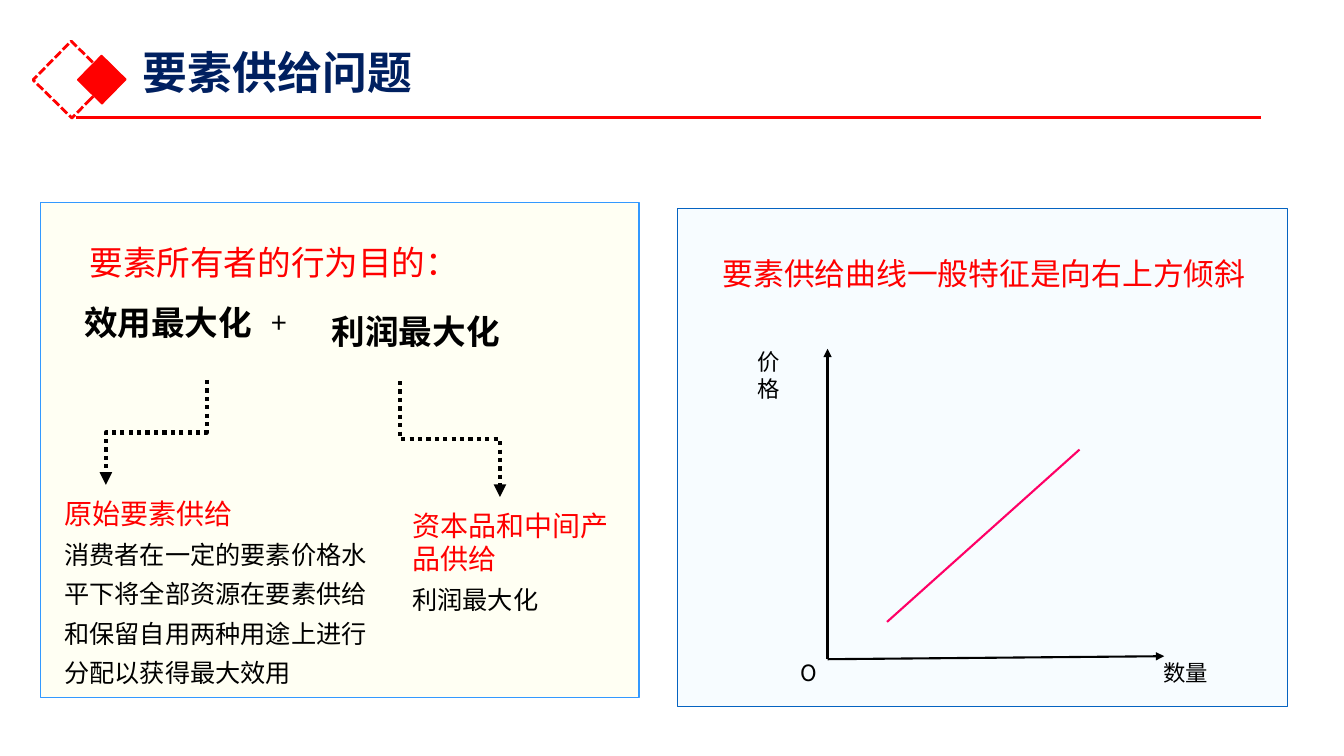
from dataclasses import dataclass
from typing import Optional

from lxml.etree import SubElement
from pptx import Presentation
from pptx.dml.color import RGBColor
from pptx.enum.dml import MSO_LINE
from pptx.enum.shapes import MSO_CONNECTOR, MSO_SHAPE
from pptx.enum.text import MSO_ANCHOR, PP_ALIGN
from pptx.oxml.ns import qn
from pptx.slide import Slide
from pptx.util import Inches, Pt

COLUMNS, ROWS = 160, 90
CELL = Inches(7.5) / ROWS


@dataclass(frozen=True)
class Theme:
    font: str = "Noto Sans CJK SC"
    navy: str = "002060"
    red: str = "FF0000"
    black: str = "000000"
    pink: str = "FF0066"
    cream: str = "FFFFF3"
    ice: str = "F7FCFF"
    sky: str = "3399FF"
    blue: str = "0563C1"
    title: int = 32
    heading: int = 24
    curve_heading: int = 22
    subheading: int = 20
    body: int = 18
    label: int = 16


THEME = Theme()


@dataclass(frozen=True)
class Area:
    column: float
    row: float
    columns: float
    rows: float


@dataclass(frozen=True)
class Box:
    area: Area
    line: str
    fill: Optional[str] = None
    weight: float = 0.75
    rotation: float = 0
    dash: Optional[MSO_LINE] = None


@dataclass(frozen=True)
class Stroke:
    start: tuple[float, float]
    end: tuple[float, float]
    color: str = THEME.black
    weight: float = 1.5
    arrow: bool = False
    elbow: bool = False


@dataclass(frozen=True)
class Line:
    text: str
    size: int
    color: str = THEME.black
    bold: bool = False
    align: Optional[PP_ALIGN] = None
    spacing: Optional[float] = None


@dataclass(frozen=True)
class Text:
    area: Area
    lines: tuple[Line, ...]
    side_inset: float = 1.2
    top_inset: float = 0.6
    anchor: MSO_ANCHOR = MSO_ANCHOR.MIDDLE


def cells(count: float) -> int:
    return round(count * CELL)


def frame(area: Area) -> tuple[int, int, int, int]:
    return cells(area.column), cells(area.row), cells(area.columns), cells(area.rows)


def color(value: str) -> RGBColor:
    return RGBColor.from_string(value)


def draw_box(slide: Slide, box: Box) -> None:
    shape = slide.shapes.add_shape(MSO_SHAPE.RECTANGLE, *frame(box.area))
    shape.shadow.inherit = False
    shape.rotation = box.rotation
    if box.fill:
        shape.fill.solid()
        shape.fill.fore_color.rgb = color(box.fill)
    else:
        shape.fill.background()
    shape.line.color.rgb = color(box.line)
    shape.line.width = Pt(box.weight)
    if box.dash:
        shape.line.dash_style = box.dash


def turned_ends(stroke: Stroke) -> tuple[float, float, float, float]:
    (x1, y1), (x2, y2) = stroke.start, stroke.end
    middle_x, middle_y = (x1 + x2) / 2, (y1 + y2) / 2
    half_width, half_height = (y2 - y1) / 2, (x2 - x1) / 2
    return (middle_x - half_width, middle_y + half_height,
            middle_x + half_width, middle_y - half_height)


def draw_stroke(slide: Slide, stroke: Stroke) -> None:
    ends = turned_ends(stroke) if stroke.elbow else (*stroke.start, *stroke.end)
    kind = MSO_CONNECTOR.ELBOW if stroke.elbow else MSO_CONNECTOR.STRAIGHT
    connector = slide.shapes.add_connector(kind, *map(cells, ends))
    connector.line.color.rgb = color(stroke.color)
    connector.line.width = Pt(stroke.weight)
    properties = connector._element.spPr
    if stroke.elbow:
        connector.line.dash_style = MSO_LINE.ROUND_DOT
        properties.find(qn("a:xfrm")).set("rot", "5400000")
    if stroke.arrow:
        SubElement(properties.find(qn("a:ln")), qn("a:tailEnd"), type="triangle")
    SubElement(properties, qn("a:effectLst"))


def draw_text(slide: Slide, text: Text) -> None:
    text_frame = slide.shapes.add_textbox(*frame(text.area)).text_frame
    text_frame.word_wrap = True
    text_frame.vertical_anchor = text.anchor
    text_frame.margin_left = text_frame.margin_right = cells(text.side_inset)
    text_frame.margin_top = text_frame.margin_bottom = cells(text.top_inset)
    for index, line in enumerate(text.lines):
        paragraph = text_frame.add_paragraph() if index else text_frame.paragraphs[0]
        paragraph.alignment = line.align
        paragraph.line_spacing = line.spacing
        run = paragraph.add_run()
        run.text = line.text
        run.font.name = THEME.font
        run.font.size = Pt(line.size)
        run.font.bold = line.bold
        run.font.color.rgb = color(line.color)
        SubElement(run._r.rPr, qn("a:ea"), typeface=THEME.font)


def goal(area: Area, text: str) -> Text:
    return Text(area, (Line(text, THEME.heading, bold=True, align=PP_ALIGN.CENTER),))


def supply(heading: str, detail: str) -> tuple[Line, ...]:
    return (Line(heading, THEME.subheading, THEME.red),
            Line(detail, THEME.body, spacing=1.3))


def axis_label(area: Area, *words: str) -> Text:
    return Text(area, tuple(Line(word, THEME.label) for word in words), side_inset=0)


ORIGIN = (98.52, 78.48)

BOXES = (
    Box(Area(4.8, 24.12, 71.28, 58.92), THEME.sky, THEME.cream),
    Box(Area(80.64, 24.84, 72.6, 59.28), THEME.blue, THEME.ice),
    Box(Area(5.28, 6.24, 6.48, 6.48), THEME.red, None, 2, 314.5, MSO_LINE.SQUARE_DOT),
    Box(Area(10.08, 7.44, 4.08, 4.08), THEME.red, THEME.red, 1, 314.5),
)

STROKES = (
    Stroke((9, 14.04), (150.12, 14.04), THEME.red, 2.25),
    Stroke(ORIGIN, (98.52, 41.52), arrow=True),
    Stroke(ORIGIN, (138.6, 78.12), arrow=True),
    Stroke((105.6, 74.04), (128.52, 53.52), THEME.pink),
    Stroke((24.6, 45.24), (12.6, 57.72), weight=3, arrow=True, elbow=True),
    Stroke((47.64, 45.36), (59.52, 59.16), weight=3, arrow=True, elbow=True),
)

TEXTS = (
    Text(Area(15.84, 6, 138, 11.4),
         (Line("要素供给问题", THEME.title, THEME.navy, True, spacing=0.9),),
         top_inset=0, anchor=MSO_ANCHOR.TOP),
    Text(Area(85.32, 24.6, 66.48, 15.96),
         (Line("要素供给曲线一般特征是向右上方倾斜", THEME.curve_heading, THEME.red),), 0.72),
    axis_label(Area(90.24, 40.68, 4.08, 7.92), "价", "格"),
    axis_label(Area(138.48, 76.08, 8, 7.92), "数量"),
    axis_label(Area(95.28, 76.08, 3, 7.92), "O"),
    goal(Area(36.5, 36, 26, 6.72), "利润最大化"),
    Text(Area(31.2, 35.76, 5.04, 5.28), (Line("+", THEME.subheading),), anchor=MSO_ANCHOR.TOP),
    Text(Area(46.44, 58.2, 30, 17.28), supply("资本品和中间产品供给", "利润最大化"), 2.64),
    Text(Area(6.48, 58.08, 39.24, 24.84),
         supply("原始要素供给",
                "消费者在一定的要素价格水平下将全部资源在要素供给和保留自用两种用途上进行分配以获得最大效用")),
    Text(Area(9.48, 28.2, 48, 6),
         (Line("要素所有者的行为目的：", THEME.heading, THEME.red),), anchor=MSO_ANCHOR.TOP),
    goal(Area(7, 31.8, 26, 13.08), "效用最大化"),
)


def main() -> None:
    presentation = Presentation()
    presentation.slide_width = cells(COLUMNS)
    presentation.slide_height = cells(ROWS)
    slide = presentation.slides.add_slide(presentation.slide_layouts[6])
    for box in BOXES:
        draw_box(slide, box)
    for stroke in STROKES:
        draw_stroke(slide, stroke)
    for text in TEXTS:
        draw_text(slide, text)
    presentation.save("out.pptx")


if __name__ == "__main__":
    main()
